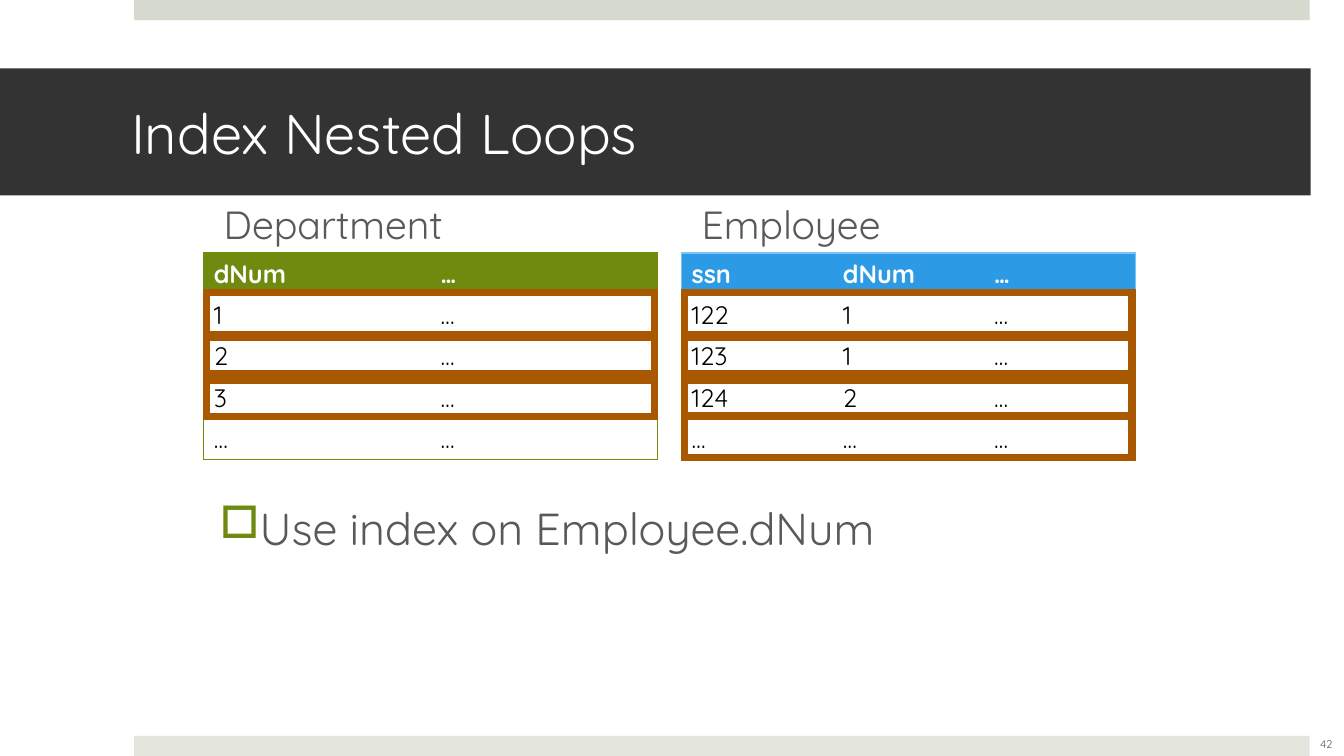
import lxml.etree
import pptx
import pptx.dml.color
import pptx.enum.shapes
import pptx.enum.text
import pptx.oxml.ns
import pptx.util

RGBColor = pptx.dml.color.RGBColor
Shapes = pptx.enum.shapes.MSO_SHAPE
Align = pptx.enum.text.PP_ALIGN
Anchor = pptx.enum.text.MSO_ANCHOR
qn = pptx.oxml.ns.qn

WHITE = RGBColor(0xFF, 0xFF, 0xFF)
BLACK = RGBColor(0, 0, 0)
CHARCOAL = RGBColor(0x33, 0x33, 0x33)
GRAY = RGBColor(0x59, 0x59, 0x59)
TOP_BAR = RGBColor(0xD6, 0xD9, 0xCD)
BOTTOM_BAR = RGBColor(0xE4, 0xE6, 0xDE)
OLIVE = RGBColor(0x6F, 0x8A, 0x0F)
OLIVE_RULE = RGBColor(0x71, 0x8D, 0x0C)
BLUE = RGBColor(0x2C, 0x9A, 0xE5)
BLUE_RULE = RGBColor(0x7A, 0xC2, 0xF2)
RUST = RGBColor(0xA8, 0x58, 0x01)

DEPARTMENT_LEFT, EMPLOYEE_LEFT = 202, 676
TABLE_TOP, TABLE_WIDTH, ROW_HEIGHT = 251, 450, 41
FRAME_HEIGHT = 48


def px(length):
    return pptx.util.Emu(length * 9144)


class SlideBuilder:
    font_name = "Quicksand"

    def __init__(self, slide):
        self.slide = slide

    def set_text(self, paragraph, text, size, color, bold=False):
        paragraph.text = text
        values = {"name": self.font_name, "size": pptx.util.Pt(size), "bold": bold}
        for name, value in values.items():
            setattr(paragraph.font, name, value)
        paragraph.font.color.rgb = color

    def shape(self, kind, left, top, width, height, color, line=None):
        shape = self.slide.shapes.add_shape(kind, *map(px, (left, top, width, height)))
        shape.shadow.inherit = False
        shape.fill.solid()
        shape.fill.fore_color.rgb = color
        if line:
            shape.line.color.rgb = line
            shape.line.width = pptx.util.Pt(1)
        else:
            shape.line.fill.background()
        return shape

    def title(self, text):
        frame = self.shape(Shapes.RECTANGLE, 0, 68, 1300, 126, CHARCOAL).text_frame
        values = {
            "margin_left": px(130),
            "margin_right": px(30),
            "vertical_anchor": Anchor.MIDDLE,
        }
        for name, value in values.items():
            setattr(frame, name, value)
        frame.paragraphs[0].alignment = Align.LEFT
        self.set_text(frame.paragraphs[0], text, 40, WHITE)

    def text(self, text, left, top, width, height, size,
             align=Align.LEFT, anchor=Anchor.TOP, bullet=None):
        box = self.slide.shapes.add_textbox(*map(px, (left, top, width, height)))
        box.text_frame.word_wrap = True
        box.text_frame.vertical_anchor = anchor
        paragraph = box.text_frame.paragraphs[0]
        paragraph.alignment = align
        if bullet:
            self.bullet(paragraph, bullet)
        self.set_text(paragraph, text, size, GRAY)

    def bullet(self, paragraph, character):
        properties = paragraph._p.get_or_add_pPr()
        properties.set("marL", str(px(38)))
        properties.set("indent", str(px(-38)))
        color = lxml.etree.SubElement(properties, qn("a:buClr"))
        lxml.etree.SubElement(color, qn("a:srgbClr"), val=str(OLIVE))
        lxml.etree.SubElement(properties, qn("a:buChar"), char=character)

    def borders(self, cell, color, sides):
        properties = cell._tc.get_or_add_tcPr()
        for index, side in enumerate("LRTB"):
            line = lxml.etree.Element(qn(f"a:ln{side}"), w=str(pptx.util.Pt(1)))
            if side in sides:
                fill = lxml.etree.SubElement(line, qn("a:solidFill"))
                lxml.etree.SubElement(fill, qn("a:srgbClr"), val=str(color))
            else:
                lxml.etree.SubElement(line, qn("a:noFill"))
            properties.insert(index, line)

    def table(self, rows, left, header_color, rule_color):
        count = len(rows[0])
        table = self.slide.shapes.add_table(
            len(rows), count, px(left), px(TABLE_TOP),
            px(TABLE_WIDTH), px(ROW_HEIGHT * len(rows))).table
        for row_index, row in enumerate(rows):
            header = row_index == 0
            for column_index, text in enumerate(row):
                cell = table.cell(row_index, column_index)
                if header:
                    cell.fill.solid()
                    cell.fill.fore_color.rgb = header_color
                else:
                    cell.fill.background()
                self.set_text(cell.text_frame.paragraphs[0], text, 18,
                              WHITE if header else BLACK, header)
                sides = "TB"
                if column_index == 0:
                    sides += "L"
                if column_index == count - 1:
                    sides += "R"
                self.borders(cell, rule_color, sides)

    def row_frames(self, left, tops):
        for top in tops:
            self.shape(Shapes.FRAME, left, top, TABLE_WIDTH, FRAME_HEIGHT, RUST, RUST)


def main():
    presentation = pptx.Presentation()
    presentation.slide_width, presentation.slide_height = px(1333), px(750)
    builder = SlideBuilder(presentation.slides.add_slide(presentation.slide_layouts[6]))

    for top, color in ((0, TOP_BAR), (730, BOTTOM_BAR)):
        builder.shape(Shapes.RECTANGLE, 133, top, 1166, 20, color)
    builder.title("Index Nested Loops")
    builder.text("Use index on Employee.dNum", 208, 492, 913, 227, 32, bullet="□")
    builder.text("42", 1282, 718, 67, 40, 8, Align.CENTER, Anchor.MIDDLE)

    department = [("dNum", "…"), ("1", "…"), ("2", "…"), ("3", "…"), ("…", "…")]
    employee = [
        ("ssn", "dNum", "…"),
        ("122", "1", "…"),
        ("123", "1", "…"),
        ("124", "2", "…"),
        ("…", "…", "…"),
    ]
    for name, rows, left, header_color, rule_color, frame_tops in (
        ("Department", department, DEPARTMENT_LEFT, OLIVE, OLIVE_RULE, (287, 332, 368)),
        ("Employee", employee, EMPLOYEE_LEFT, BLUE, BLUE_RULE, (287, 368, 409, 332)),
    ):
        builder.text(name, left + 10, 194, 440, 96, 28)
        builder.table(rows, left, header_color, rule_color)
        builder.row_frames(left, frame_tops)

    presentation.save("out.pptx")


if __name__ == "__main__":
    main()
